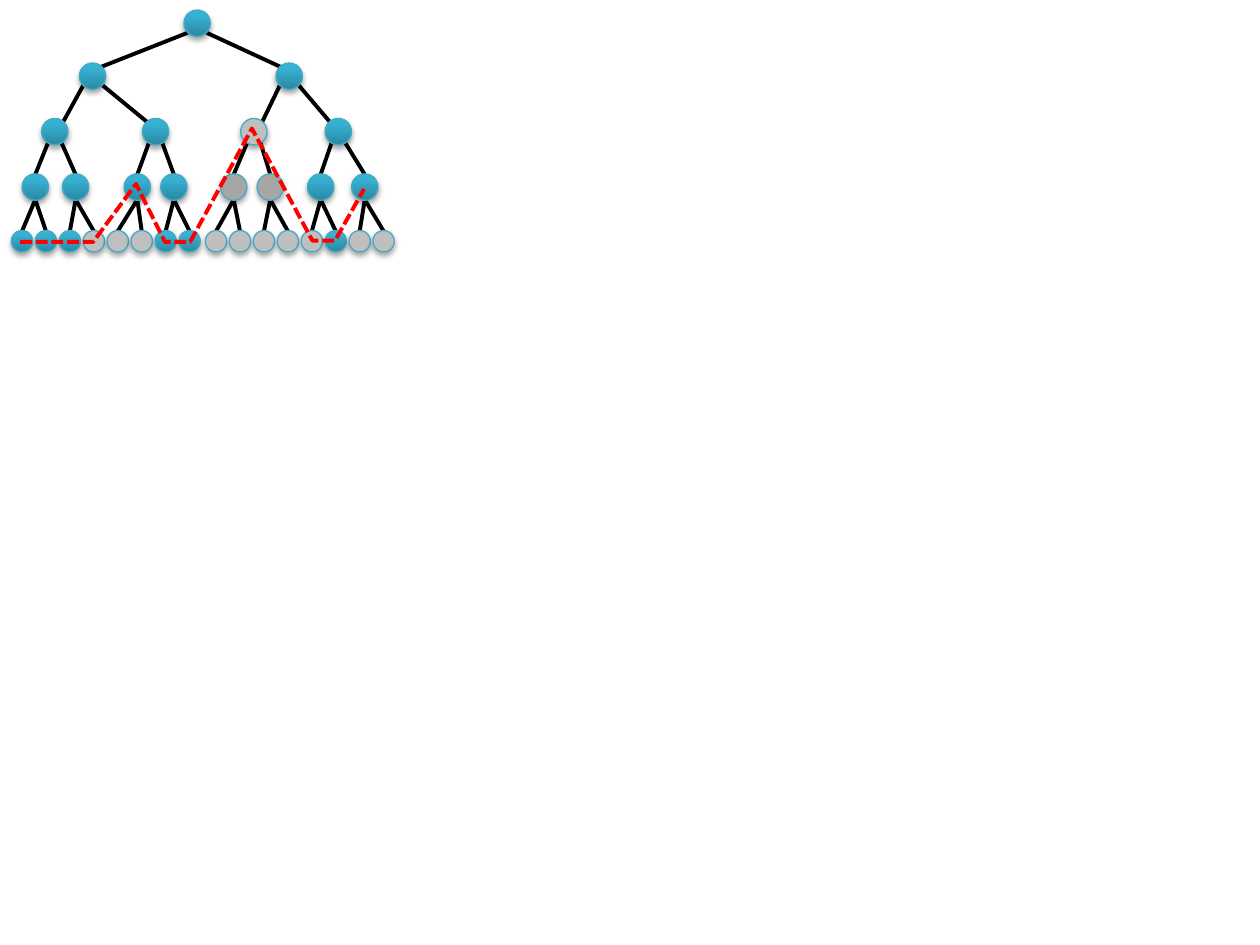
from dataclasses import dataclass

from lxml import etree
from pptx import Presentation
from pptx.dml.color import RGBColor
from pptx.enum.dml import MSO_LINE
from pptx.enum.shapes import MSO_CONNECTOR, MSO_SHAPE
from pptx.oxml import parse_xml
from pptx.oxml.ns import nsdecls, qn
from pptx.util import Inches, Pt

STRAIGHT = MSO_CONNECTOR.STRAIGHT
OVAL = MSO_SHAPE.OVAL
SHORT_DASH = MSO_LINE.SQUARE_DOT
BLANK_LAYOUT = 6


@dataclass(frozen=True)
class Theme:
    """Colours and line widths of the slide."""
    gradient: tuple = ((0, "2A88A2"), (80, "37B1D2"), (100, "34B4D6"))
    pale: str = "BFBFBF"
    grey: str = "A6A6A6"
    outline: str = "46AAC5"
    edge: str = "000000"
    cut: str = "FF0000"
    outline_width: float = 0.75
    edge_width: float = 2.25


THEME = Theme()

# Grid: leaf columns at an equal pitch, with a wider gap between the halves.
FIRST_COLUMN, COLUMN_PITCH, MIDDLE_GAP = 0.175, 0.19, 0.02
LEAF_COUNT = 16
ROWS = (0.185, 0.605, 1.045, 1.485, 1.915)
INNER_COLUMNS = (
    (1.565,),
    (0.735, 2.295),
    (0.435, 1.235, 2.015, 2.685),
    (0.28, 0.60, 1.09, 1.38, 1.855, 2.145, 2.545, 2.895),
)
DIAMETERS = (0.21, 0.21, 0.21, 0.21, 0.17)

# Per level: how far an edge leaves its parent, and meets its child, off centre.
EDGE_STARTS = ((0.075, 0.075), (0.07, 0.065), (0.05, 0.08), (0, 0.1))
EDGE_ENDS = ((0.07, 0.075), (0.065, 0.075), (0, 0.1), (0, 0.08))

# Nodes, by level and index, that are not blue.
PLAIN_FILLS = {(2, 2): THEME.pale, (3, 4): THEME.grey, (3, 5): THEME.grey}
PLAIN_FILLS.update({(4, leaf): THEME.pale
                    for leaf in (3, 4, 5, 8, 9, 10, 11, 12, 14, 15)})

CUT_POINTS = ((0.16, 1.92), (0.74, 1.92), (1.08, 1.46), (1.31, 1.92),
              (1.51, 1.92), (2.0, 1.02), (2.48, 1.91), (2.66, 1.91),
              (2.89, 1.5))


def tree_levels():
    """Return the node centres, level by level."""
    leaves = tuple(FIRST_COLUMN + COLUMN_PITCH * leaf
                   + MIDDLE_GAP * (leaf >= LEAF_COUNT // 2)
                   for leaf in range(LEAF_COUNT))
    return [[(column, row) for column in columns]
            for columns, row in zip(INNER_COLUMNS + (leaves,), ROWS)]


def style_line(line, color, width):
    """Set the colour and width of a line."""
    line.color.rgb = RGBColor.from_string(color)
    line.width = Pt(width)


def fill_gradient(shape):
    """Fill a shape with the theme's upward gradient."""
    stops = "".join(
        f'<a:gs pos="{share * 1000}"><a:srgbClr val="{color}"/></a:gs>'
        for share, color in THEME.gradient)
    gradient = parse_xml(
        f'<a:gradFill {nsdecls("a")} rotWithShape="1"><a:gsLst>{stops}</a:gsLst>'
        '<a:lin ang="16200000" scaled="0"/></a:gradFill>')
    shape.fill.background()
    properties = shape._element.spPr
    properties.replace(properties.find(qn("a:noFill")), gradient)


def add_shadow(shape):
    """Give a shape a soft shadow just below it."""
    shape.shadow.inherit = False
    effects = shape._element.spPr.find(qn("a:effectLst"))
    effects.append(parse_xml(
        f'<a:outerShdw {nsdecls("a")} blurRad="{Pt(3.1)}" dist="{Pt(1.8)}" '
        'dir="5400000" rotWithShape="0"><a:srgbClr val="000000">'
        '<a:alpha val="35000"/></a:srgbClr></a:outerShdw>'))


def add_edge(page, start, end):
    """Draw a straight tree edge between two points."""
    edge = page.shapes.add_connector(
        STRAIGHT, *(Inches(length) for length in (*start, *end)))
    style_line(edge.line, THEME.edge, THEME.edge_width)
    etree.SubElement(edge._element.spPr, qn("a:effectLst"))


def add_node(page, centre, diameter, plain_fill):
    """Draw a round node, blue unless a plain fill is given."""
    left, top = (Inches(length - diameter / 2) for length in centre)
    node = page.shapes.add_shape(
        OVAL, left, top, Inches(diameter), Inches(diameter))
    if plain_fill:
        node.fill.solid()
        node.fill.fore_color.rgb = RGBColor.from_string(plain_fill)
    else:
        fill_gradient(node)
    style_line(node.line, THEME.outline, THEME.outline_width)
    add_shadow(node)


def add_edges(page, levels):
    """Join every inner node to its two children."""
    for level, parents in enumerate(levels[:-1]):
        start_x, start_y = EDGE_STARTS[level]
        end_x, end_y = EDGE_ENDS[level]
        for index, (parent_x, parent_y) in enumerate(parents):
            for child, side in ((2 * index, -1), (2 * index + 1, 1)):
                child_x, child_y = levels[level + 1][child]
                add_edge(page,
                         (parent_x + side * start_x, parent_y + start_y),
                         (child_x - side * end_x, child_y - end_y))


def add_nodes(page, levels):
    """Draw the nodes of every level."""
    for level, centres in enumerate(levels):
        for index, centre in enumerate(centres):
            add_node(page, centre, DIAMETERS[level],
                     PLAIN_FILLS.get((level, index)))


def add_cut(page):
    """Draw the dashed cut across the tree."""
    first, *others = [(Inches(x), Inches(y)) for x, y in CUT_POINTS]
    builder = page.shapes.build_freeform(*first)
    builder.add_line_segments(others, close=False)
    cut = builder.convert_to_shape()
    cut.fill.background()
    style_line(cut.line, THEME.cut, THEME.edge_width)
    cut.line.dash_style = SHORT_DASH
    cut.shadow.inherit = False


def main():
    """Build the slide and save it."""
    deck = Presentation()
    deck.slide_width, deck.slide_height = Inches(10), Inches(7.5)
    page = deck.slides.add_slide(deck.slide_layouts[BLANK_LAYOUT])
    levels = tree_levels()
    add_edges(page, levels)
    add_nodes(page, levels)
    add_cut(page)
    deck.save("out.pptx")


main()
